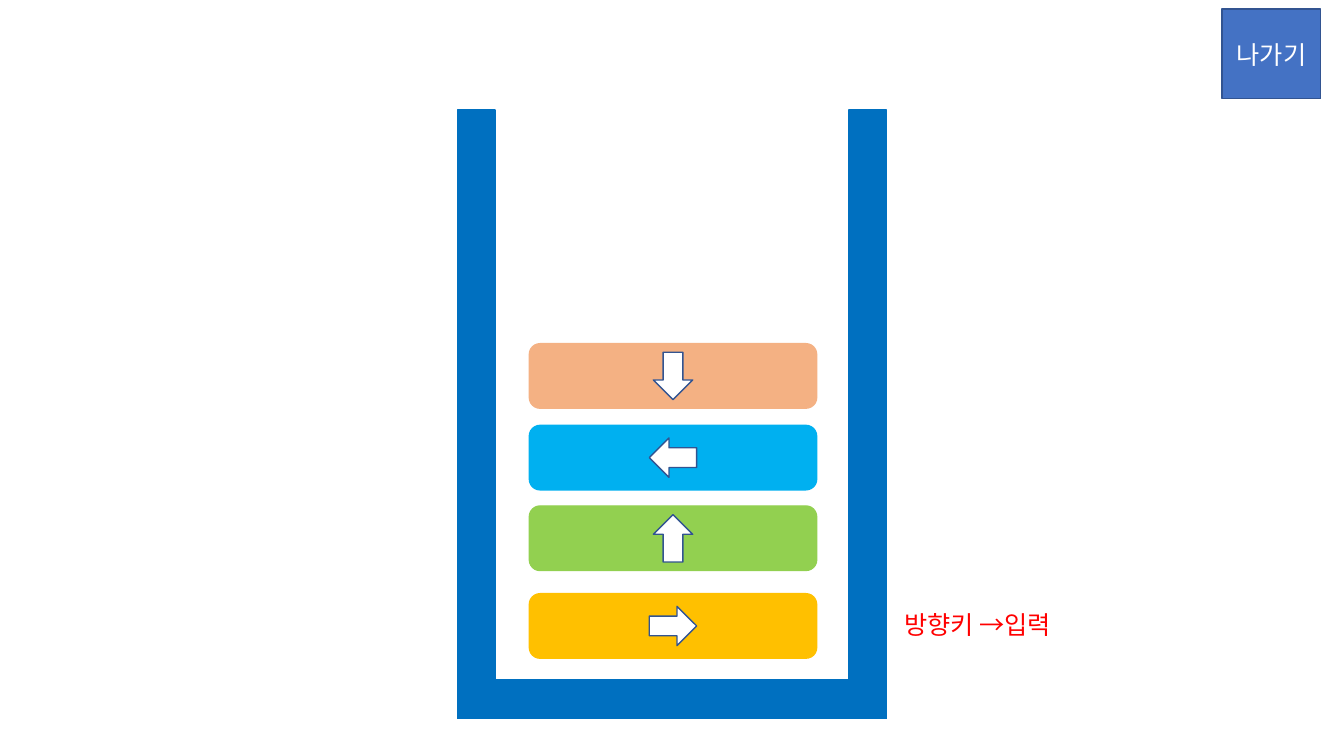
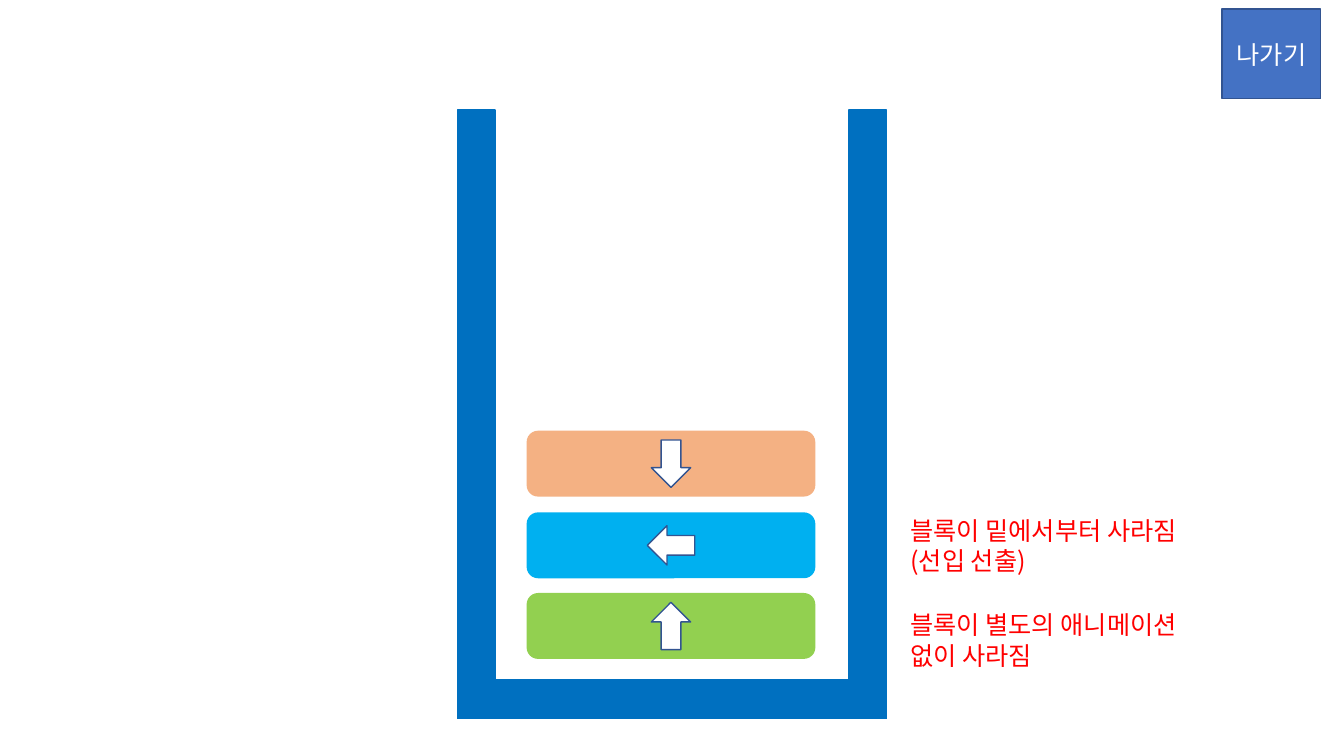
from lxml import etree
from pptx import Presentation
from pptx.dml.color import RGBColor
from pptx.enum.shapes import MSO_SHAPE
from pptx.enum.text import MSO_ANCHOR, MSO_AUTO_SIZE, PP_ALIGN
from pptx.oxml.ns import qn
from pptx.util import Inches, Pt

RECT, ROUND = MSO_SHAPE.RECTANGLE, MSO_SHAPE.ROUNDED_RECTANGLE
ARROW = MSO_SHAPE.RIGHT_ARROW
LEFT, CENTER = PP_ALIGN.LEFT, PP_ALIGN.CENTER
MIDDLE = MSO_ANCHOR.MIDDLE
GROW = MSO_AUTO_SIZE.SHAPE_TO_FIT_TEXT

FONT = "Noto Sans CJK KR"
COLORS = {
    "button": "4472C4", "outline": "325491", "white": "FFFFFF",
    "wall": "0070C0", "note": "FF0000",
    "yellow": "FFC000", "green": "92D050", "blue": "00B0F0", "orange": "F4B183",
}
# Rotation of the arrow on each block
TURNS = {"yellow": 0, "green": 270, "blue": 180, "orange": 90}

BLOCK_W, BLOCK_H = 2.85, 0.64
ARROW_W, ARROW_H = 0.47, 0.39
BUCKET_X, BUCKET_Y, BUCKET_W, BUCKET_H = 4.54, 1.09, 4.25, 6.04
WALL, FLOOR = 0.37, 0.39


def rgb(name):
    return RGBColor.from_string(COLORS[name])


def write(tf, text, color="note", size=18, align=LEFT):
    tf.word_wrap = True
    p = tf.paragraphs[0]
    p.alignment = align
    r = p.add_run()
    r.text = text
    r.font.size = Pt(size)
    r.font.name = FONT
    r.font.color.rgb = rgb(color)
    # Korean glyphs take the East Asian typeface
    ea = etree.SubElement(r.font._element, qn("a:ea"))
    ea.set("typeface", FONT)


class Deck:
    def __init__(self):
        self.prs = Presentation()
        self.prs.slide_width = Inches(13.33)
        self.prs.slide_height = Inches(7.5)
        self.s = None

    def slide(self):
        self.s = self.prs.slides.add_slide(self.prs.slide_layouts[6])
        self.exit_button()
        self.bucket()

    def shape(self, kind, x, y, w, h, fill, line=None, parent=None):
        shapes = (parent or self.s).shapes
        sp = shapes.add_shape(kind, Inches(x), Inches(y), Inches(w), Inches(h))
        sp.shadow.inherit = False
        sp.fill.solid()
        sp.fill.fore_color.rgb = rgb(fill)
        sp.line.color.rgb = rgb(line or fill)
        sp.line.width = Pt(1)
        return sp

    def exit_button(self):
        sp = self.shape(RECT, 12.12, 0.09, 0.98, 0.89, "button", "outline")
        sp.text_frame.vertical_anchor = MIDDLE
        write(sp.text_frame, "나가기", color="white", align=CENTER)

    def bucket(self):
        group = self.s.shapes.add_group_shape()
        for x in (BUCKET_X, BUCKET_X + BUCKET_W - WALL):
            self.shape(RECT, x, BUCKET_Y, WALL, BUCKET_H, "wall", parent=group)
        self.shape(RECT, BUCKET_X, BUCKET_Y + BUCKET_H - FLOOR, BUCKET_W, FLOOR,
                   "wall", parent=group)

    def block(self, x, y, color):
        group = self.s.shapes.add_group_shape()
        self.shape(ROUND, x, y, BLOCK_W, BLOCK_H, color, parent=group)
        arrow = self.shape(ARROW, x + (BLOCK_W - ARROW_W) / 2,
                           y + (BLOCK_H - ARROW_H) / 2, ARROW_W, ARROW_H,
                           "white", "outline", parent=group)
        arrow.rotation = TURNS[color]

    def stack(self, x, tops):
        for color, y in tops.items():
            self.block(x, y, color)

    def note(self, x, y, w, h, text):
        sp = self.s.shapes.add_textbox(Inches(x), Inches(y), Inches(w), Inches(h))
        write(sp.text_frame, text)
        sp.text_frame.auto_size = GROW


deck = Deck()

# Slide 1: four blocks, waiting for the arrow key
deck.slide()
deck.stack(5.25, {"yellow": 5.89, "green": 5.02, "blue": 4.22, "orange": 3.41})
deck.note(8.87, 6, 2.67, 0.4, "방향키 →입력")

# Slide 2: the lowest block is gone
deck.slide()
deck.stack(5.23, {"green": 5.89, "blue": 5.09, "orange": 4.28})
deck.note(8.93, 5.06, 3.19, 0.71, "블록이 밑에서부터 사라짐(선입 선출)")
deck.note(8.93, 6, 3.19, 0.71, "블록이 별도의 애니메이션 없이 사라짐")

deck.prs.save("out.pptx")
